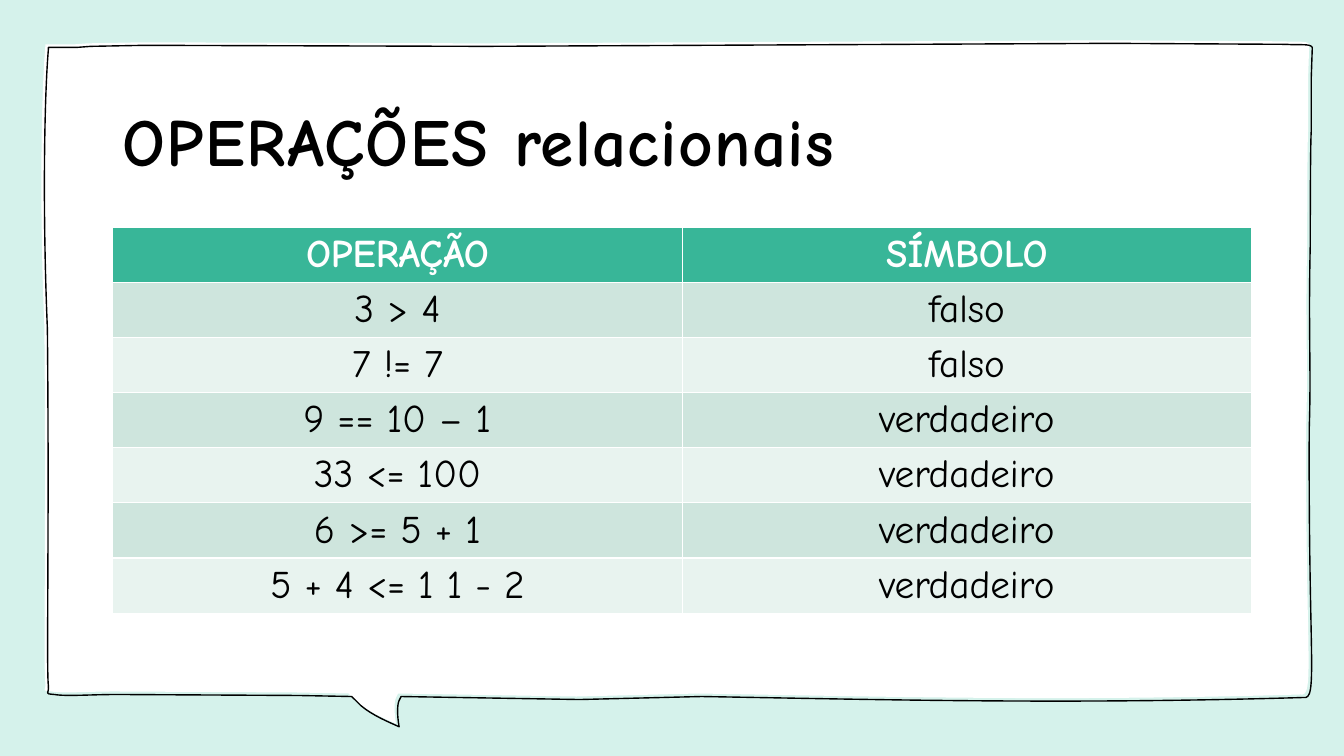
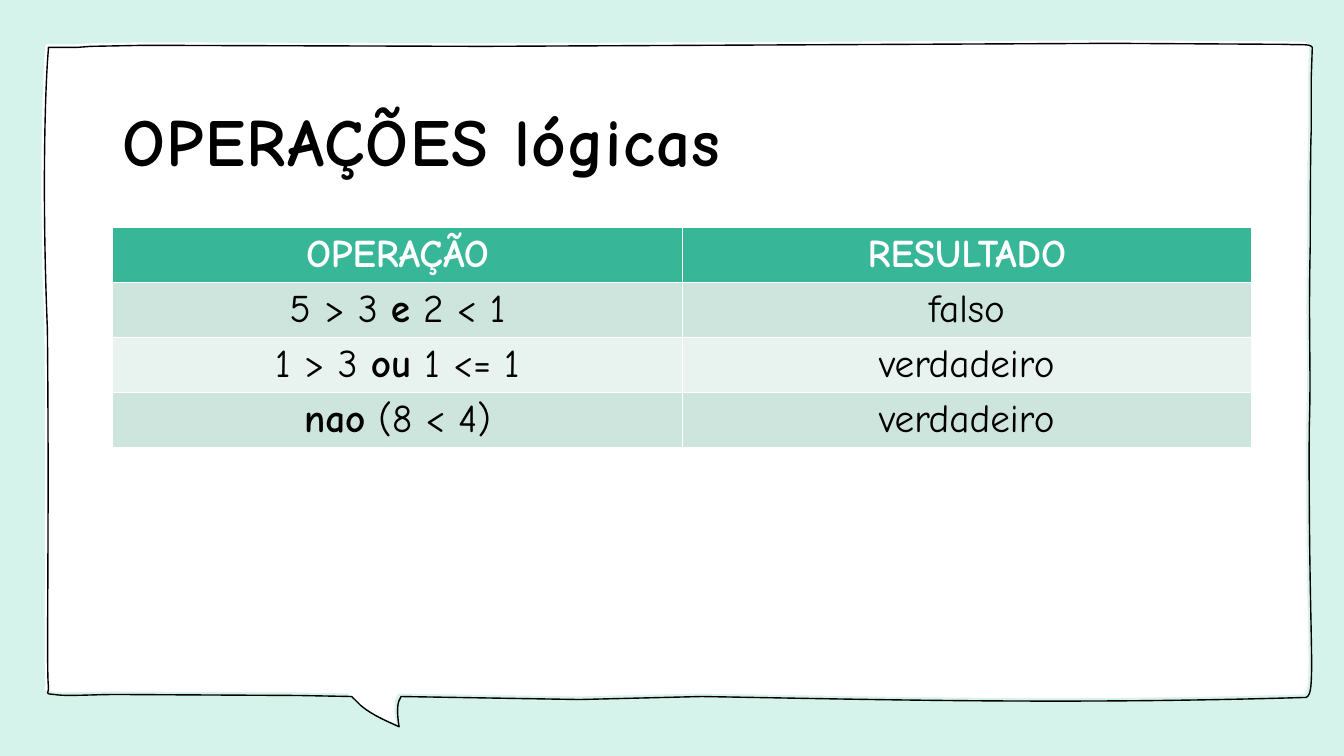
from lxml import etree
from pptx import Presentation
from pptx import util as u
from pptx.dml.color import RGBColor
from pptx.enum import text
from pptx.oxml import ns

COLORS = {
    "mint": "D5F2EB",
    "white": "FFFFFF",
    "black": "000000",
    "header": "38B698",
    "odd": "CEE5DD",
    "even": "E8F3EF",
}
FONT = "Comic Neue"
INCH = 2.54
KEYWORDS = {"e", "ou", "nao"}

SLIDES = [
    ("OPERAÇÕES relacionais", [
        (["OPERAÇÃO"], ["SÍMBOLO"]),
        (["3 > 4"], ["falso"]),
        (["7 != 7"], ["falso"]),
        (["9 == 10 – 1"], ["verdadeiro"]),
        (["33 <= 100"], ["verdadeiro"]),
        (["6 >= 5 + 1"], ["verdadeiro"]),
        (["5 + 4 <= 1 1 - 2"], ["verdadeiro"]),
    ]),
    ("OPERAÇÕES lógicas", [
        (["OPERAÇÃO"], ["RESULTADO"]),
        (["5 > 3 ", "e", " 2 < 1"], ["falso"]),
        (["1 > 3 ", "ou", " 1 <= 1"], ["verdadeiro"]),
        (["nao", " (8 < 4)"], ["verdadeiro"]),
    ]),
]

BUBBLE_BOX = (0.44, 0.43, 12.58, 6.78)
BUBBLE = [
    (11.03, 0.43), (12.76, 0.44),
    (12.89, 0.45, 13, 0.43, 13.02, 0.47), (13.01, 0.77),
    (13.01, 0.94, 13.01, 1.13, 13.01, 1.3),
    (13, 1.42, 13, 2.35, 13, 2.42),
    (12.98, 3.3, 13.01, 3.65, 12.99, 4.25),
    (12.98, 6.56, 13.08, 6.95, 12.93, 6.92),
    (10.56, 6.99, 8.72, 6.94, 6.96, 6.91),
    (5.75, 6.94), (3.98, 6.91), (3.96, 6.95),
    (3.94, 6.99, 3.94, 7.1, 3.96, 7.21),
    (3.85, 7.16, 3.7, 7.1, 3.58, 7),
    (3.49, 6.91), (2.96, 6.9), (1.17, 6.89),
    (0.9, 6.89, 0.66, 6.91, 0.54, 6.89),
    (0.43, 6.88, 0.49, 6.89, 0.48, 6.8),
    (0.46, 6.65, 0.49, 5.22, 0.47, 3.26),
    (0.42, 2.07, 0.44, 0.96, 0.48, 0.49),
    (0.48, 0.48, 0.48, 0.48, 0.48, 0.47),
    (0.54, 0.47), (0.77, 0.47), (0.9, 0.46), (1.43, 0.45),
    (4.8, 0.46), (11.03, 0.43),
]
LEFT, WIDTH = u.Cm(2.84), u.Cm(28.7)
TITLE_TOP, TITLE_HEIGHT = u.Cm(1.55), u.Cm(3.94)
TABLE_TOP, ROW_HEIGHT, ROW_SPACE = u.Cm(5.72), u.Cm(1.04), u.Cm(1.44)


def rgb(name):
    return RGBColor.from_string(COLORS[name])


def inches(value):
    return u.Cm(value * INCH)


def draw_curves(sp):
    left, top, width, height = BUBBLE_BOX
    path = next(sp.element.iter(ns.qn("a:path")))
    path.set("w", str(inches(width)))
    path.set("h", str(inches(height)))
    for child in list(path):
        path.remove(child)
    for i, part in enumerate(BUBBLE):
        tag = "moveTo" if i == 0 else "lnTo" if len(part) == 2 else "cubicBezTo"
        step = etree.SubElement(path, ns.qn(f"a:{tag}"))
        for x, y in zip(part[::2], part[1::2]):
            etree.SubElement(step, ns.qn("a:pt"), x=str(inches(x - left)), y=str(inches(y - top)))
    etree.SubElement(path, ns.qn("a:close"))


def add_bubble(s, offset):
    ends = [(inches(part[-2]), inches(part[-1])) for part in BUBBLE]
    builder = s.shapes.build_freeform(*ends[0])
    builder.add_line_segments(ends[1:], close=True)
    sp = builder.convert_to_shape()
    draw_curves(sp)
    left, top, width, height = BUBBLE_BOX
    sp.left, sp.top = inches(left + offset), inches(top + offset)
    sp.width, sp.height = inches(width), inches(height)
    sp.shadow.inherit = False
    return sp


def move_bubble_to_layout(s, layout):
    paper = add_bubble(s, -0.03)
    paper.fill.solid()
    paper.fill.fore_color.rgb = rgb("white")
    paper.line.fill.background()
    outline = add_bubble(s, 0)
    outline.fill.background()
    outline.line.color.rgb = rgb("black")
    outline.line.width = u.Pt(1)
    for i, sp in enumerate((paper, outline)):
        layout.shapes.element.insert(2 + i, sp.element)


def add_run(p, words, size, color, bold):
    r = p.add_run()
    r.text = words
    f = r.font
    f.name, f.size, f.bold = FONT, u.Pt(size), bold
    f.color.rgb = rgb(color)
    return r


def add_title(s, words):
    tf = s.shapes.title.text_frame
    tf.auto_size = text.MSO_AUTO_SIZE.NONE
    tf.vertical_anchor = text.MSO_ANCHOR.MIDDLE
    p = tf.paragraphs[0]
    p.alignment = text.PP_ALIGN.LEFT
    r = add_run(p, words, 48, "black", True)
    r.font._element.set("spc", "100")


def add_operations(s, rows):
    height = ROW_SPACE * len(rows)
    frame = s.shapes.add_table(len(rows), 2, LEFT, TABLE_TOP, WIDTH, height)
    table = frame.table
    for i, row in enumerate(rows):
        table.rows[i].height = ROW_HEIGHT
        header = i == 0
        for j, runs in enumerate(row):
            cell = table.cell(i, j)
            cell.fill.solid()
            cell.fill.fore_color.rgb = rgb("header" if header else "odd" if i % 2 else "even")
            p = cell.text_frame.paragraphs[0]
            p.alignment = text.PP_ALIGN.CENTER
            for words in runs:
                add_run(p, words, 28, "white" if header else "black", header or words in KEYWORDS)
    frame.height = height


def main():
    prs = Presentation()
    prs.slide_width, prs.slide_height = u.Cm(33.87), u.Cm(19.05)
    layout = prs.slide_layouts[5]
    layout.background.fill.solid()
    layout.background.fill.fore_color.rgb = rgb("mint")
    title = layout.placeholders[0]
    title.left, title.top, title.width, title.height = LEFT, TITLE_TOP, WIDTH, TITLE_HEIGHT
    for i, (words, rows) in enumerate(SLIDES):
        s = prs.slides.add_slide(layout)
        if i == 0:
            move_bubble_to_layout(s, layout)
        add_title(s, words)
        add_operations(s, rows)
    prs.save("out.pptx")


if __name__ == "__main__":
    main()
